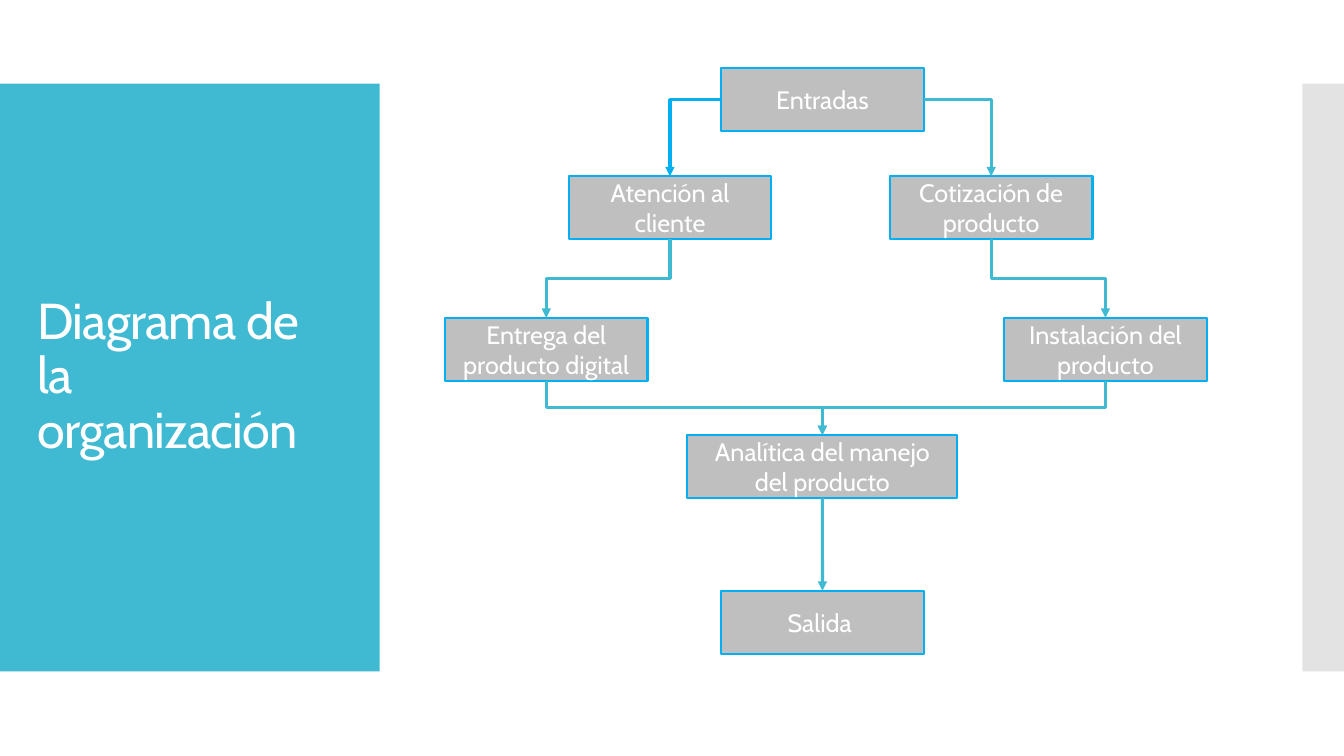
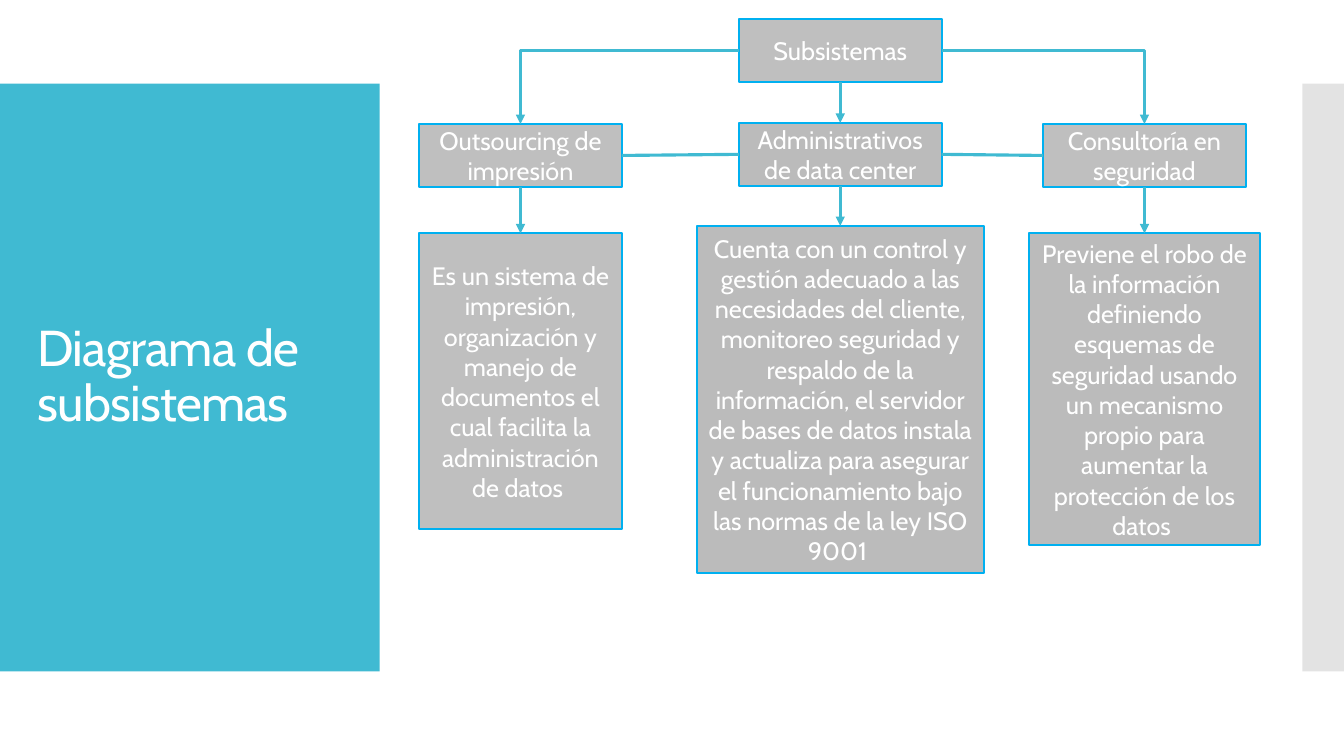
from dataclasses import dataclass

from lxml import etree
from pptx import Presentation
from pptx import slide as s
from pptx import util as u
from pptx.dml import color, fill as f
from pptx.enum import shapes, text
from pptx.oxml import ns
from pptx.shapes import autoshape, connector as c

FONT = "Cabin"
TEAL = "40BAD2"
BLUE = "00B0F0"
GREY = "BFBFBF"
DARK_GREY = "BBBBBB"
BAND_GREY = "C8C8C8"
WHITE = "FFFFFF"

TOP, LEFT, BOTTOM, RIGHT = range(4)
STRAIGHT, CORNER, STEP = "line", "bentConnector2", "bentConnector3"


@dataclass(frozen=True)
class Box:
    key: str
    label: str
    center: float
    top: float
    width: float = 144.8
    height: float = 44.9
    fill: str = GREY


@dataclass(frozen=True)
class Link:
    start: str
    end: str
    route: str = STRAIGHT
    start_side: int = BOTTOM
    end_side: int = TOP
    arrow: bool = True
    color: str = TEAL


@dataclass(frozen=True)
class Diagram:
    title: str
    boxes: tuple[Box, ...]
    links: tuple[Link, ...]


@dataclass(frozen=True)
class Band:
    left: float
    width: float
    fill: str
    opacity: int = 100


BANDS = (Band(0, 271.2, TEAL), Band(930.2, 29.8, BAND_GREY, 50))

ORGANIZATION = Diagram(
    "Diagrama de la organización",
    (
        Box("inputs", "Entradas", 587.5, 48.7),
        Box("output", "Salida ", 587.5, 422),
        Box("service", "Atención al cliente", 478.6, 125.9),
        Box("quote", "Cotización de producto", 708, 125.9),
        Box("analytics", "Analítica del manejo del producto", 587.4, 310.8, width=193),
        Box("delivery", "Entrega del producto digital", 390.2, 227),
        Box("installation", "Instalación del producto", 789.6, 227),
    ),
    (
        Link("inputs", "service", CORNER, LEFT, color=BLUE),
        Link("inputs", "quote", CORNER, RIGHT),
        Link("quote", "installation", STEP),
        Link("service", "delivery", STEP),
        Link("installation", "analytics", STEP),
        Link("delivery", "analytics", STEP),
        Link("analytics", "output"),
    ),
)

SUBSYSTEMS = Diagram(
    "Diagrama de subsistemas",
    (
        Box("subsystems", "Subsistemas", 600.2, 13.5),
        Box("printing", "Outsourcing de impresión", 371.8, 88.6),
        Box(
            "printing detail",
            "Es un sistema de impresión, organización y manejo de documentos "
            "el cual facilita la administración de datos ",
            371.8, 166.7, height=211.5,
        ),
        Box("security", "Consultoría en seguridad", 817.5, 88.6),
        Box("data center", "Administrativos de data center", 600.2, 87.8, fill=DARK_GREY),
        Box(
            "security detail",
            "Previene el robo de la información definiendo esquemas de seguridad "
            "usando un mecanismo propio para aumentar la protección de los datos ",
            817.5, 166.7, 165, 222.5, DARK_GREY,
        ),
        Box(
            "data center detail",
            "Cuenta con un control y gestión adecuado a las necesidades del cliente, "
            "monitoreo seguridad y respaldo de la información, el servidor de bases "
            "de datos instala y actualiza para asegurar el funcionamiento bajo las "
            "normas de la ley ISO 9001 ",
            600.2, 161.4, 205.2, 247.7, DARK_GREY,
        ),
    ),
    (
        Link("subsystems", "printing", CORNER, LEFT),
        Link("subsystems", "security", CORNER, RIGHT),
        Link("subsystems", "data center"),
        Link("printing", "printing detail"),
        Link("security", "security detail"),
        Link("data center", "data center detail"),
        Link("printing", "data center", STRAIGHT, RIGHT, LEFT, arrow=False),
        Link("data center", "security", STRAIGHT, RIGHT, LEFT, arrow=False),
    ),
)


def paint(target: f.FillFormat, hex_color: str) -> None:
    target.solid()
    target.fore_color.rgb = color.RGBColor.from_string(hex_color)


def write(shape: autoshape.Shape, label: str, size: float, align: text.PP_ALIGN) -> None:
    frame = shape.text_frame
    frame.word_wrap = True
    frame.auto_size = text.MSO_AUTO_SIZE.NONE
    frame.vertical_anchor = text.MSO_ANCHOR.MIDDLE
    paragraph = frame.paragraphs[0]
    paragraph.alignment = align
    run = paragraph.add_run()
    run.text = label
    run.font.name = FONT
    run.font.size = u.Pt(size)
    paint(run.font.fill, WHITE)


def add_rectangle(
    slide: s.Slide, left: float, top: float, width: float, height: float, fill: str
) -> autoshape.Shape:
    shape = slide.shapes.add_shape(
        shapes.MSO_SHAPE.RECTANGLE, u.Pt(left), u.Pt(top), u.Pt(width), u.Pt(height)
    )
    shape.shadow.inherit = False
    paint(shape.fill, fill)
    return shape


def add_band_to_layout(slide: s.Slide, band: Band) -> None:
    shape = add_rectangle(slide, band.left, 59.8, band.width, 419.8, band.fill)
    shape.line.fill.background()
    if band.opacity < 100:
        fill_color = shape._element.spPr.find(".//" + ns.qn("a:srgbClr"))
        etree.SubElement(fill_color, ns.qn("a:alpha"), val=str(band.opacity * 1000))
    slide.slide_layout.shapes._spTree.insert(2, shape._element)


def prepare_layout(layout: s.SlideLayout) -> None:
    title, *unused = layout.placeholders
    title.left, title.top = u.Pt(19.6), u.Pt(88.6)
    title.width, title.height = u.Pt(231.8), u.Pt(362.2)
    for placeholder in unused:
        layout.shapes._spTree.remove(placeholder._element)


def add_title(slide: s.Slide, label: str) -> None:
    title = slide.shapes.title
    write(title, label, 36, text.PP_ALIGN.LEFT)
    paragraph = title.text_frame.paragraphs[0]
    paragraph.line_spacing = 0.9
    paragraph.runs[0].font._element.set("spc", "-60")


def add_box(slide: s.Slide, box: Box) -> autoshape.Shape:
    left = box.center - box.width / 2
    shape = add_rectangle(slide, left, box.top, box.width, box.height, box.fill)
    paint(shape.line.fill, BLUE)
    shape.line.width = u.Pt(1.5)
    write(shape, box.label, 18, text.PP_ALIGN.CENTER)
    return shape


def turn_vertical(connector: c.Connector) -> None:
    goes_right = connector.end_x > connector.begin_x
    center_x = connector.left + connector.width // 2
    center_y = connector.top + connector.height // 2
    connector.width, connector.height = connector.height, connector.width
    connector.left = center_x - connector.width // 2
    connector.top = center_y - connector.height // 2
    transform = connector._element.spPr.xfrm
    transform.set("rot", str((270 if goes_right else 90) * 60000))
    transform.set("flipH", "1" if goes_right else "0")


def add_link(slide: s.Slide, link: Link, boxes: dict[str, autoshape.Shape]) -> None:
    kind = shapes.MSO_CONNECTOR.STRAIGHT if link.route == STRAIGHT else shapes.MSO_CONNECTOR.ELBOW
    connector = slide.shapes.add_connector(kind, 0, 0, 0, 0)
    connector.begin_connect(boxes[link.start], link.start_side)
    connector.end_connect(boxes[link.end], link.end_side)
    properties = connector._element.spPr
    properties.find(ns.qn("a:prstGeom")).set("prst", link.route)
    if link.route == STEP:
        turn_vertical(connector)
    paint(connector.line.fill, link.color)
    connector.line.width = u.Pt(2.25)
    if link.arrow:
        etree.SubElement(properties.find(ns.qn("a:ln")), ns.qn("a:tailEnd"), type="triangle")
    etree.SubElement(properties, ns.qn("a:effectLst"))


def add_diagram(slide: s.Slide, diagram: Diagram) -> None:
    add_title(slide, diagram.title)
    boxes = {box.key: add_box(slide, box) for box in diagram.boxes}
    for link in diagram.links:
        add_link(slide, link, boxes)


def main() -> None:
    presentation = Presentation()
    presentation.slide_width, presentation.slide_height = u.Pt(960), u.Pt(540)
    layout = presentation.slide_layouts.get_by_name("Title Only")
    prepare_layout(layout)

    diagrams = (ORGANIZATION, SUBSYSTEMS)
    slides = [presentation.slides.add_slide(layout) for _ in diagrams]
    for band in BANDS:
        add_band_to_layout(slides[0], band)
    for slide, diagram in zip(slides, diagrams):
        add_diagram(slide, diagram)
    presentation.save("out.pptx")


main()
